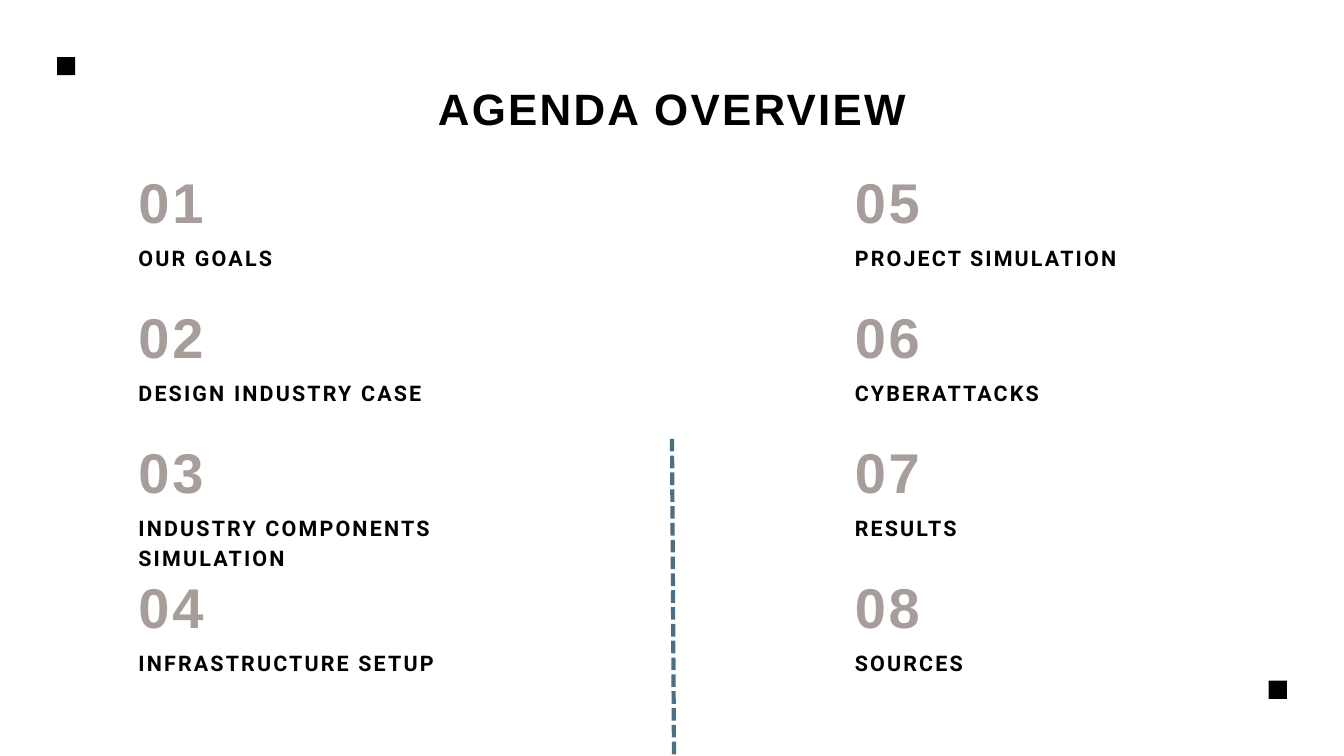
from pptx import Presentation
from pptx.dml.color import RGBColor
from pptx.enum.dml import MSO_LINE
from pptx.enum.shapes import MSO_CONNECTOR, MSO_SHAPE
from pptx.enum.text import MSO_ANCHOR, MSO_AUTO_SIZE, PP_ALIGN
from pptx.oxml.ns import qn
from pptx.util import Inches, Pt
from lxml import etree

TITLE = "AGENDA OVERVIEW"
AGENDA_COLUMNS = [
    ["OUR GOALS", "DESIGN INDUSTRY CASE",
     "INDUSTRY COMPONENTS SIMULATION", "INFRASTRUCTURE SETUP"],
    ["PROJECT SIMULATION", "CYBERATTACKS", "RESULTS", "SOURCES"],
]

COLORS = {"ink": "000000", "number": "A79E9C", "divider": "4E6E81"}
STYLES = {
    "title": dict(font="Arial", size=47, leading=65.8, tracking=2.4,
                  color="ink", align=PP_ALIGN.CENTER),
    "number": dict(font="Arial", size=60, leading=84, tracking=3,
                   color="number", align=PP_ALIGN.LEFT),
    "label": dict(font="Roboto", size=23, leading=32.2, tracking=2.3,
                  color="ink", align=PP_ALIGN.LEFT),
}

# Inches
SLIDE_W, SLIDE_H = 20, 11.25
MARGIN = 2.06
COLUMN_W = 5.22
COLUMN_LEFTS = [MARGIN, SLIDE_W - MARGIN - COLUMN_W]
FIRST_ROW, ROW_PITCH = 2.33, 2.01
NUMBER_H, LABEL_H, LABEL_OFFSET = 1.18, 0.43, 1.25
SQUARE = 0.27
CORNER = 0.85


def color(key):
    return RGBColor.from_string(COLORS[key])


def write(box, text, style):
    """Fill a box with one paragraph in a named style, without insets."""
    look = STYLES[style]
    frame = box.text_frame
    frame.margin_left = frame.margin_right = 0
    frame.margin_top = frame.margin_bottom = 0
    frame.word_wrap = True
    frame.auto_size = MSO_AUTO_SIZE.SHAPE_TO_FIT_TEXT
    frame.vertical_anchor = MSO_ANCHOR.TOP
    frame.text = text
    paragraph = frame.paragraphs[0]
    paragraph.alignment = look["align"]
    paragraph.line_spacing = Pt(look["leading"])
    font = paragraph.font
    font.name, font.size, font.bold = look["font"], Pt(look["size"]), True
    font.color.rgb = color(look["color"])
    tracking = str(round(look["tracking"] * 100))
    paragraph.runs[0]._r.get_or_add_rPr().set("spc", tracking)


def add_text(slide, text, style, left, top, height):
    box = slide.shapes.add_textbox(
        Inches(left), Inches(top), Inches(COLUMN_W), Inches(height))
    write(box, text, style)


def add_title(slide):
    title = slide.shapes.title
    title.left, title.top = Inches(MARGIN), Inches(1.08)
    title.width, title.height = Inches(SLIDE_W - 2 * MARGIN), Inches(0.91)
    write(title, TITLE, "title")


def add_agenda(slide):
    number = 0
    for left, labels in zip(COLUMN_LEFTS, AGENDA_COLUMNS):
        for row, label in enumerate(labels):
            number += 1
            top = FIRST_ROW + row * ROW_PITCH
            add_text(slide, f"{number:02}", "number", left, top, NUMBER_H)
            add_text(slide, label, "label", left, top + LABEL_OFFSET, LABEL_H)


def add_divider(slide):
    divider = slide.shapes.add_connector(
        MSO_CONNECTOR.STRAIGHT, Inches(SLIDE_W / 2), Inches(6.53),
        Inches(SLIDE_W / 2 + 0.03), Inches(SLIDE_H))
    divider.line.color.rgb = color("divider")
    divider.line.width = Pt(4.5)
    divider.line.dash_style = MSO_LINE.SQUARE_DOT
    etree.SubElement(divider._element.spPr, qn("a:effectLst"))


def add_corner_squares(slide):
    far_corner = (SLIDE_W - CORNER - SQUARE, SLIDE_H - CORNER - SQUARE)
    for left, top in [far_corner, (CORNER, CORNER)]:
        square = slide.shapes.add_shape(
            MSO_SHAPE.RECTANGLE, Inches(left), Inches(top),
            Inches(SQUARE), Inches(SQUARE))
        square.shadow.inherit = False
        square.fill.solid()
        square.fill.fore_color.rgb = color("ink")
        square.line.fill.background()


def main():
    deck = Presentation()
    deck.slide_width, deck.slide_height = Inches(SLIDE_W), Inches(SLIDE_H)
    slide = deck.slides.add_slide(deck.slide_layouts.get_by_name("Title Only"))
    add_title(slide)
    add_agenda(slide)
    add_divider(slide)
    add_corner_squares(slide)
    deck.save("out.pptx")


if __name__ == "__main__":
    main()
